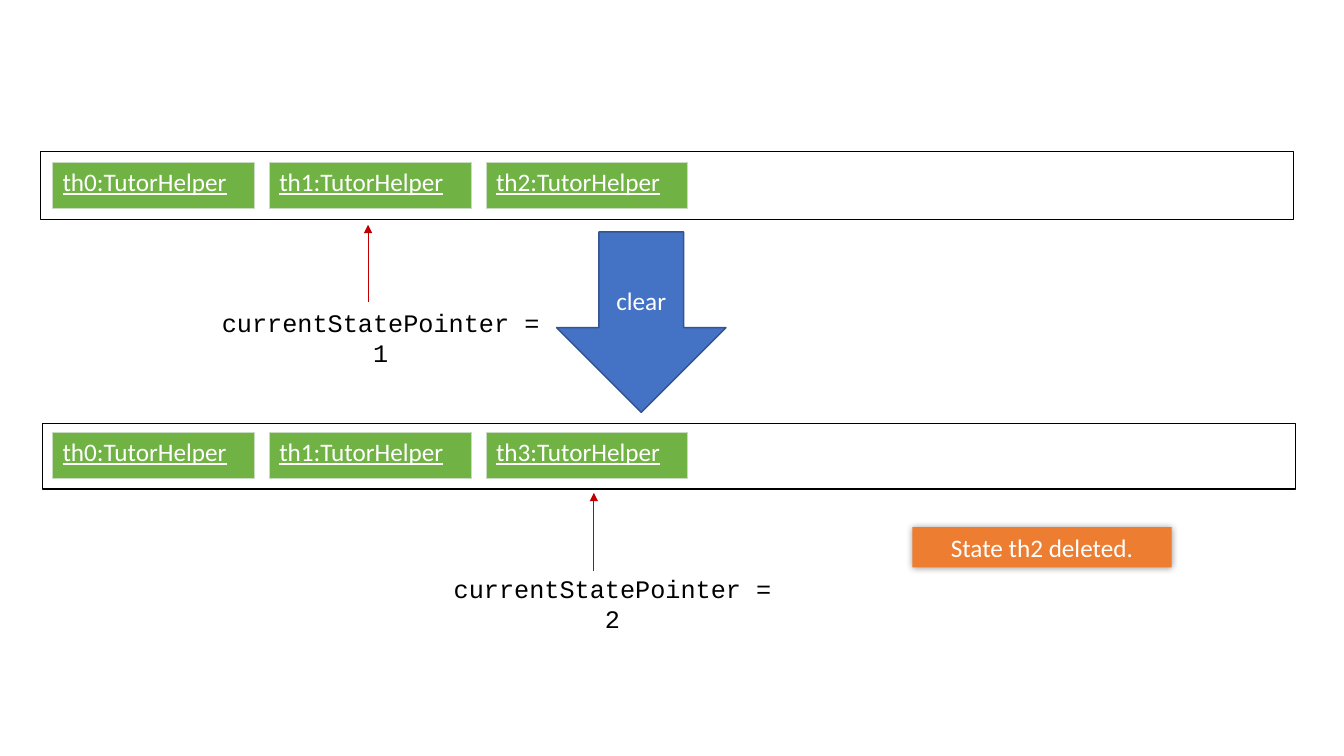
from lxml import etree
from pptx import Presentation
from pptx.dml.color import RGBColor
from pptx.enum.shapes import MSO_CONNECTOR, MSO_SHAPE
from pptx.enum.text import MSO_ANCHOR, MSO_AUTO_SIZE, PP_ALIGN
from pptx.oxml import parse_xml
from pptx.oxml.ns import nsdecls, qn
from pptx.util import Inches, Pt


def rgb(hex_color):
    return RGBColor.from_string(hex_color)


def write(frame, text, font="Calibri", color="FFFFFF", align=PP_ALIGN.CENTER,
          anchor=MSO_ANCHOR.TOP, underline=None, grow=False):
    frame.word_wrap = True
    frame.vertical_anchor = anchor
    if grow:
        frame.auto_size = MSO_AUTO_SIZE.SHAPE_TO_FIT_TEXT
    paragraph = frame.paragraphs[0]
    paragraph.alignment = align
    run = paragraph.add_run()
    run.text = text
    run.font.name = font
    run.font.size = Pt(18)
    run.font.underline = underline
    run.font.color.rgb = rgb(color)


prs = Presentation()
prs.slide_width, prs.slide_height = Inches(13.33), Inches(7.5)
shapes = prs.slides.add_slide(prs.slide_layouts[6]).shapes

clear_step = shapes.add_shape(MSO_SHAPE.DOWN_ARROW, Inches(5.52), Inches(2.3), Inches(1.68), Inches(1.79))
clear_step.shadow.inherit = False
clear_step.fill.solid()
clear_step.fill.fore_color.rgb = rgb("4472C4")
clear_step.line.color.rgb = rgb("325491")
clear_step.line.width = Pt(1)
write(clear_step.text_frame, "clear", anchor=MSO_ANCHOR.MIDDLE)

deleted_note = shapes.add_shape(MSO_SHAPE.RECTANGLE, Inches(9.05), Inches(5.23), Inches(2.57), Inches(0.4))
deleted_note.shadow.inherit = False
deleted_note.fill.solid()
deleted_note.fill.fore_color.rgb = rgb("ED7D31")
deleted_note.line.fill.background()
effects = deleted_note._element.spPr.find(qn("a:effectLst"))
effects.append(parse_xml(
    f'<a:outerShdw {nsdecls("a")} blurRad="{Pt(5)}" dist="0" dir="0" algn="ctr" rotWithShape="0">'
    '<a:srgbClr val="000000"><a:alpha val="40000"/></a:srgbClr></a:outerShdw>'))
write(deleted_note.text_frame, "State th2 deleted.", grow=True)

state_lists = [
    (0.4, 1.5, 0.68, 1.61, ["th0", "th1", "th2"], 1, 2.02, 3, 3.65, 3, 2.23),
    (0.42, 4.2, 0.65, 4.29, ["th0", "th1", "th3"], 2, 4.32, 5.64, 5.89, 5.66, 4.89),
]
for (left, top, height, state_top, states, pointer,
     label_left, label_top, arrow_x, arrow_start, arrow_end) in state_lists:
    state_list = shapes.add_shape(MSO_SHAPE.RECTANGLE, Inches(left), Inches(top), Inches(12.43), Inches(height))
    state_list.shadow.inherit = False
    state_list.fill.background()
    state_list.line.color.rgb = rgb("000000")
    state_list.line.width = Pt(1)

    for position, state in enumerate(states):
        state_table = shapes.add_table(1, 1, Inches(0.52 + 2.15 * position), Inches(state_top),
                                       Inches(2), Inches(0.46)).table
        state_cell = state_table.cell(0, 0)
        write(state_cell.text_frame, f"{state}:TutorHelper", align=PP_ALIGN.LEFT, underline=True)
        state_cell.fill.solid()
        state_cell.fill.fore_color.rgb = rgb("70B244")
        cell_props = state_cell._tc.get_or_add_tcPr()
        for index, side in enumerate(["lnL", "lnR", "lnT", "lnB"]):
            cell_props.insert(index, parse_xml(
                f'<a:{side} {nsdecls("a")} w="{Pt(0.5)}"><a:solidFill>'
                f'<a:srgbClr val="C9DBC1"/></a:solidFill></a:{side}>'))

    pointer_label = shapes.add_textbox(Inches(label_left), Inches(label_top), Inches(3.51), Inches(0.4))
    write(pointer_label.text_frame, f"currentStatePointer = {pointer}",
          font="Courier New", color="000000", grow=True)

    pointer_arrow = shapes.add_connector(MSO_CONNECTOR.STRAIGHT, Inches(arrow_x), Inches(arrow_start),
                                         Inches(arrow_x), Inches(arrow_end))
    pointer_arrow.line.color.rgb = rgb("C00000")
    pointer_arrow.line.width = Pt(0.5)
    etree.SubElement(pointer_arrow.line._get_or_add_ln(), qn("a:tailEnd"), type="triangle")
    etree.SubElement(pointer_arrow._element.spPr, qn("a:effectLst"))

prs.save("out.pptx")
